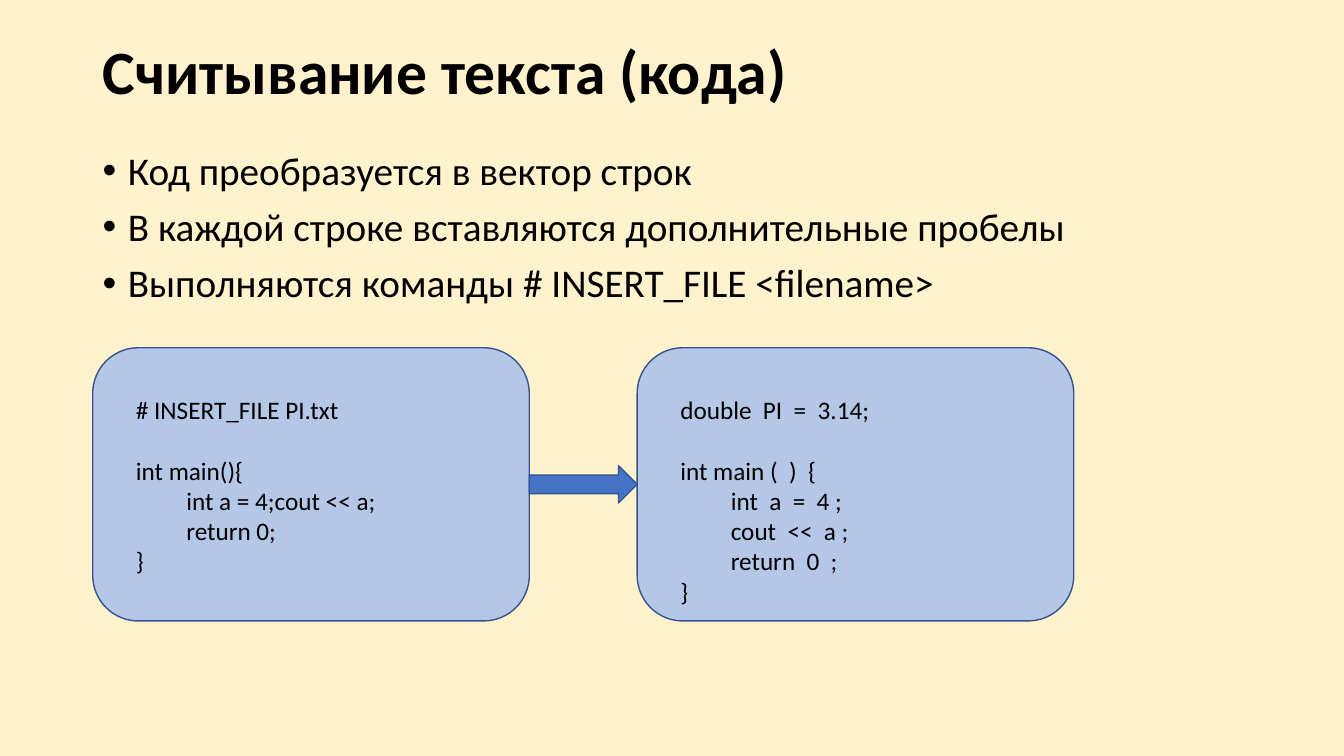
from lxml.etree import SubElement as Sub
from pptx import Presentation
from pptx.dml.color import RGBColor as Rgb
from pptx.enum.shapes import MSO_SHAPE as Kind
from pptx.enum.text import MSO_ANCHOR as Anchor, MSO_AUTO_SIZE as Auto, PP_ALIGN as Align
from pptx.oxml.ns import qn
from pptx.util import Inches, Pt

HEAD = "Считывание текста (кода)"
POINTS = [
    "Код преобразуется в вектор строк",
    "В каждой строке вставляются дополнительные пробелы",
    "Выполняются команды # INSERT_FILE <filename>",
]
CODES = [
    ["# INSERT_FILE PI.txt", "int main(){", "\tint a = 4;cout << a;",
     "\treturn 0;", "}"],
    ["double  PI  =  3.14;", "int main (  )  {", "\tint  a  =  4 ;",
     "\tcout  <<  a ;", "\treturn  0  ;", "}"],
]
COLORS = {"back": "FFF2CC", "text": "000000", "card": "B4C7E7",
          "arrow": "4472C4", "edge": "325491"}
FONTS = {
    "head": {"name": "Calibri", "size": Pt(44), "bold": True},
    "point": {"name": "Calibri", "size": Pt(28)},
    "code": {"name": "Calibri", "size": Pt(18)},
}
PARAS = {
    "head": {"alignment": Align.LEFT, "line_spacing": 0.9},
    "point": {"line_spacing": 0.9, "space_before": Pt(10)},
    "code": {},
}
LEFT, TOP, WIDE, HIGH = 0.92, 3.45, 4.33, 2.71
STEP = 5.4
GAP = STEP - WIDE
THICK = 0.37
INSET, DROP = 0.33, 0.41
LINE = 0.3
BLANK = Pt(22)


def color(key):
    return Rgb.from_string(COLORS[key])


def write(frame, lines, style):
    frame.word_wrap = True
    frame.auto_size = Auto.NONE
    for i, line in enumerate(lines):
        para = frame.paragraphs[0] if i == 0 else frame.add_paragraph()
        run = para.add_run()
        run.text = line
        for key, value in FONTS[style].items():
            setattr(run.font, key, value)
        for key, value in PARAS[style].items():
            setattr(para, key, value)
        run.font.color.rgb = color("text")


def box(slide, area, lines, style):
    frame = slide.shapes.add_textbox(*map(Inches, area)).text_frame
    write(frame, lines, style)
    return frame


def shape(slide, kind, area, fill):
    item = slide.shapes.add_shape(kind, *map(Inches, area))
    item.shadow.inherit = False
    item.fill.solid()
    item.fill.fore_color.rgb = color(fill)
    item.line.color.rgb = color("edge")
    item.line.width = Pt(1)


def bullet(para):
    props = para._p.get_or_add_pPr()
    props.set("marL", str(Inches(0.25)))
    props.set("indent", str(Inches(-0.25)))
    Sub(props, qn("a:buFont"), typeface="Arial")
    Sub(props, qn("a:buChar"), char="•")


def main():
    deck = Presentation()
    deck.slide_width, deck.slide_height = Inches(13.33), Inches(7.5)
    slide = deck.slides.add_slide(deck.slide_layouts[5])
    slide.background.fill.solid()
    slide.background.fill.fore_color.rgb = color("back")

    title = slide.shapes.title
    spot = {"left": LEFT, "top": 0.4, "width": 11.5, "height": 0.68}
    for key, value in spot.items():
        setattr(title, key, Inches(value))
    write(title.text_frame, [HEAD], "head")
    title.text_frame.vertical_anchor = Anchor.MIDDLE

    body = box(slide, (LEFT, 1.45, 11.5, 5.31), POINTS, "point")
    for para in body.paragraphs:
        bullet(para)

    for i, code in enumerate(CODES):
        left = LEFT + i * STEP
        shape(slide, Kind.ROUNDED_RECTANGLE, (left, TOP, WIDE, HIGH), "card")
        high = LINE * (len(code) + 1) + 0.1
        area = (left + INSET, TOP + DROP, WIDE - INSET, high)
        frame = box(slide, area, code, "code")
        frame.paragraphs[1].space_before = BLANK

    mid = TOP + HIGH / 2
    shape(slide, Kind.RIGHT_ARROW,
          (LEFT + WIDE, mid - THICK / 2, GAP, THICK), "arrow")
    deck.save("out.pptx")


if __name__ == "__main__":
    main()
